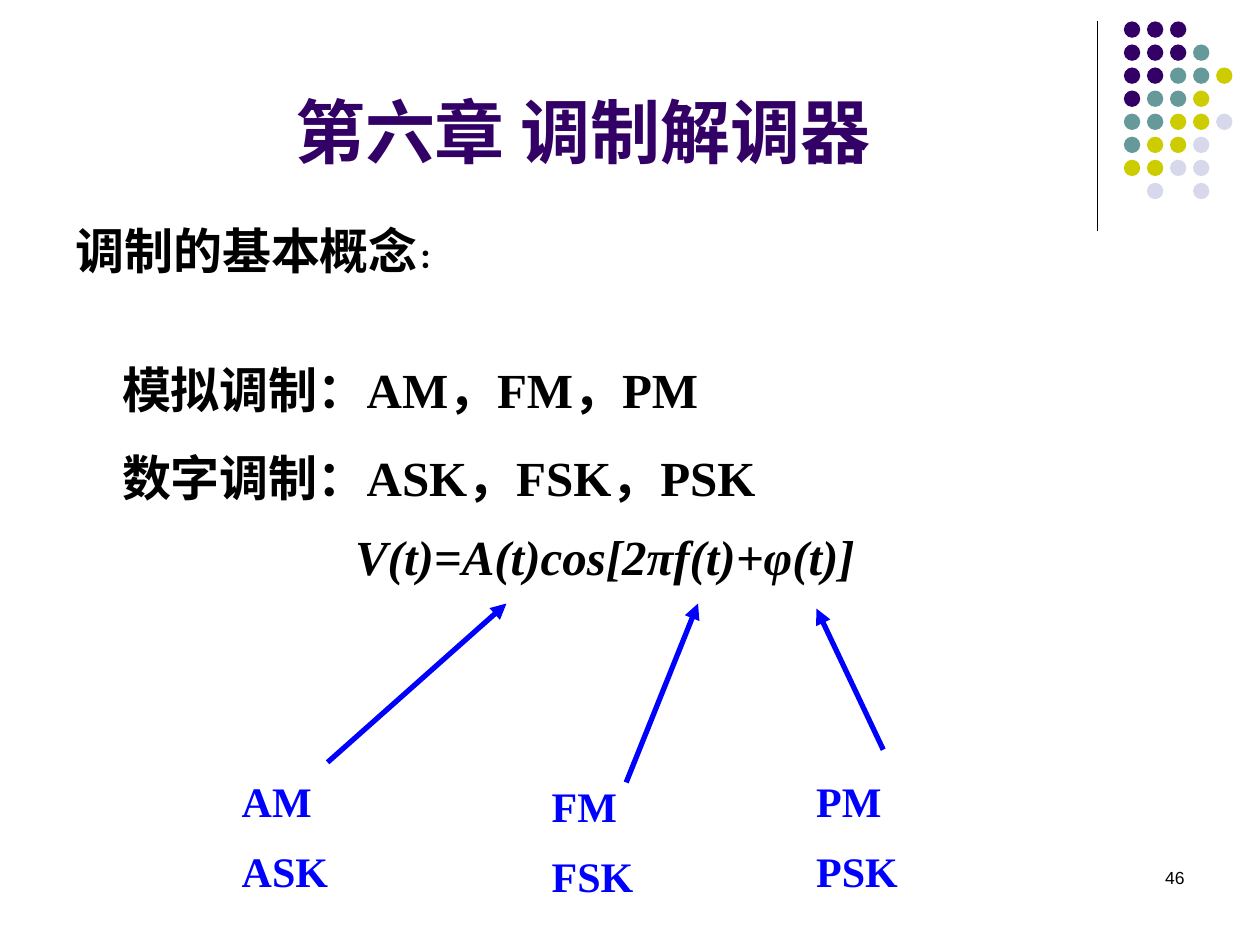
from lxml.etree import SubElement
from pptx import Presentation
from pptx.dml.color import RGBColor
from pptx.enum.shapes import MSO_CONNECTOR, MSO_SHAPE
from pptx.enum.text import MSO_ANCHOR, PP_ALIGN
from pptx.oxml.ns import qn
from pptx.util import Inches, Pt

BLACK = RGBColor(0x00, 0x00, 0x00)
BLUE = RGBColor(0x00, 0x00, 0xFF)
PURPLE = RGBColor(0x33, 0x00, 0x66)
TEAL = RGBColor(0x66, 0x99, 0x99)
OLIVE = RGBColor(0xCC, 0xCC, 0x00)
LAVENDER = RGBColor(0xD8, 0xD8, 0xEC)

SERIF = "Times New Roman"
SANS = "Arial"
CHINESE = "Noto Sans CJK SC"

TITLE = "第六章 调制解调器"
HEADING = ("调制的基本概念", "：")
KINDS = ["模拟调制：AM，FM，PM", "数字调制：ASK，FSK，PSK"]
FORMULA = "V(t)=A(t)cos[2πf(t)+φ(t)]"
PAGE_NUMBER = "46"

# label lines, label left and top, arrow start, arrow end
PARAMETERS = [
    (["AM", "ASK"], (1.82, 5.95), (2.6, 6.05), (4.02, 4.79)),
    (["FM", "FSK"], (4.28, 5.99), (4.97, 6.21), (5.54, 4.79)),
    (["PM", "PSK"], (6.38, 5.95), (7.01, 5.95), (6.48, 4.83)),
]
LABEL_SIZE = (1.26, 1.22)

DOT_COLORS = {"P": PURPLE, "T": TEAL, "O": OLIVE, "L": LAVENDER}
DOT_ROWS = ["PPP", "PPPT", "PPTTO", "PTTO", "TTOOL", "TOOL", "OOLL", " L L"]
DOT_LEFT, DOT_TOP, DOT_SIZE, DOT_PITCH = 8.92, 0.17, 0.13, 0.183


def set_east_asian_font(span, name):
    SubElement(span._r.get_or_add_rPr(), qn("a:ea")).set("typeface", name)


def add_text(page, place, lines, size, color=BLACK, font=SERIF, bold=True,
             italic=False, align=PP_ALIGN.LEFT, spacing=None):
    box = page.shapes.add_textbox(*map(Inches, place))
    box.text_frame.word_wrap = True
    box.text_frame.text = "\n".join(lines)
    for paragraph in box.text_frame.paragraphs:
        paragraph.alignment = align
        if spacing:
            paragraph.line_spacing = Pt(spacing)
        for span in paragraph.runs:
            style = span.font
            style.name, style.size = font, Pt(size)
            style.bold, style.italic = bold, italic
            style.color.rgb = color
            set_east_asian_font(span, CHINESE)
    return box


def add_line(page, start, end, color, width, arrow=False):
    line = page.shapes.add_connector(
        MSO_CONNECTOR.STRAIGHT, *map(Inches, start + end))
    line.line.color.rgb = color
    line.line.width = Pt(width)
    if arrow:
        SubElement(line.line._get_or_add_ln(), qn("a:tailEnd")).set("type", "triangle")
    SubElement(line._element.spPr, qn("a:effectLst"))


def add_dots(page):
    for row, codes in enumerate(DOT_ROWS):
        for column, code in enumerate(codes):
            if code == " ":
                continue
            dot = page.shapes.add_shape(
                MSO_SHAPE.OVAL,
                Inches(DOT_LEFT + column * DOT_PITCH),
                Inches(DOT_TOP + row * DOT_PITCH),
                Inches(DOT_SIZE), Inches(DOT_SIZE))
            dot.shadow.inherit = False
            dot.fill.solid()
            dot.fill.fore_color.rgb = DOT_COLORS[code]
            dot.line.fill.background()


def add_heading(page):
    words, colon = HEADING
    box = add_text(page, (0.5, 1.7, 5.6, 0.57), [words], 28, font=CHINESE)
    span = box.text_frame.paragraphs[0].add_run()
    span.text = colon
    span.font.name, span.font.size, span.font.bold = SERIF, Pt(18), True
    span.font.color.rgb = BLACK
    set_east_asian_font(span, SERIF)


def main():
    deck = Presentation()
    deck.slide_width, deck.slide_height = Inches(10), Inches(7.5)
    page = deck.slides.add_slide(deck.slide_layouts[6])

    add_line(page, (8.71, 0.17), (8.71, 1.83), BLACK, 0.75)
    add_dots(page)

    title = add_text(page, (0.5, 0, 8.25, 1.42), [TITLE], 40, PURPLE, CHINESE,
                     align=PP_ALIGN.CENTER)
    title.text_frame.vertical_anchor = MSO_ANCHOR.BOTTOM
    add_text(page, (7.17, 6.83, 2.33, 0.5), [PAGE_NUMBER], 10, font=SANS,
             bold=False, align=PP_ALIGN.RIGHT)

    add_heading(page)
    add_text(page, (0.87, 2.58, 6.61, 1.42), KINDS, 28, spacing=50)
    add_text(page, (2.72, 4.13, 6.75, 0.57), [FORMULA], 28, italic=True)
    for lines, corner, start, end in PARAMETERS:
        add_text(page, corner + LABEL_SIZE, lines, 24, BLUE, spacing=40)
        add_line(page, start, end, BLUE, 3, arrow=True)

    deck.save("out.pptx")


if __name__ == "__main__":
    main()
